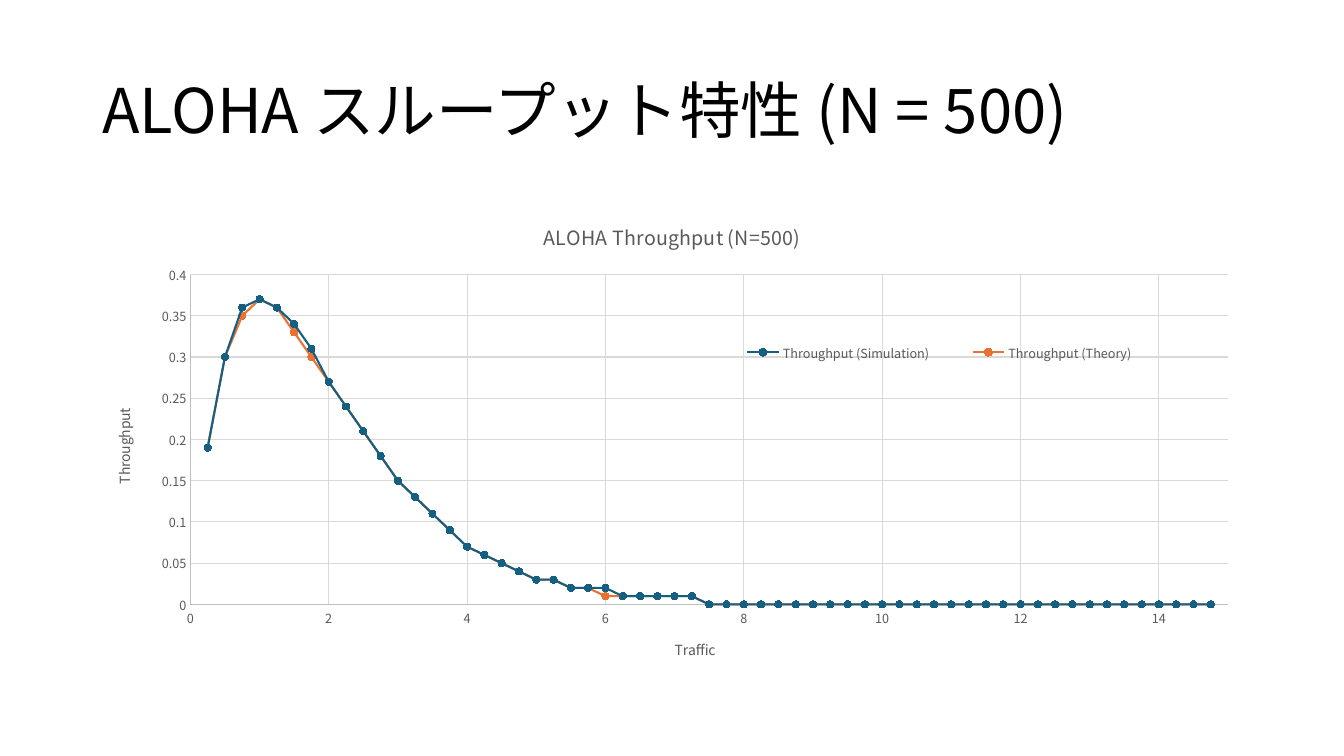
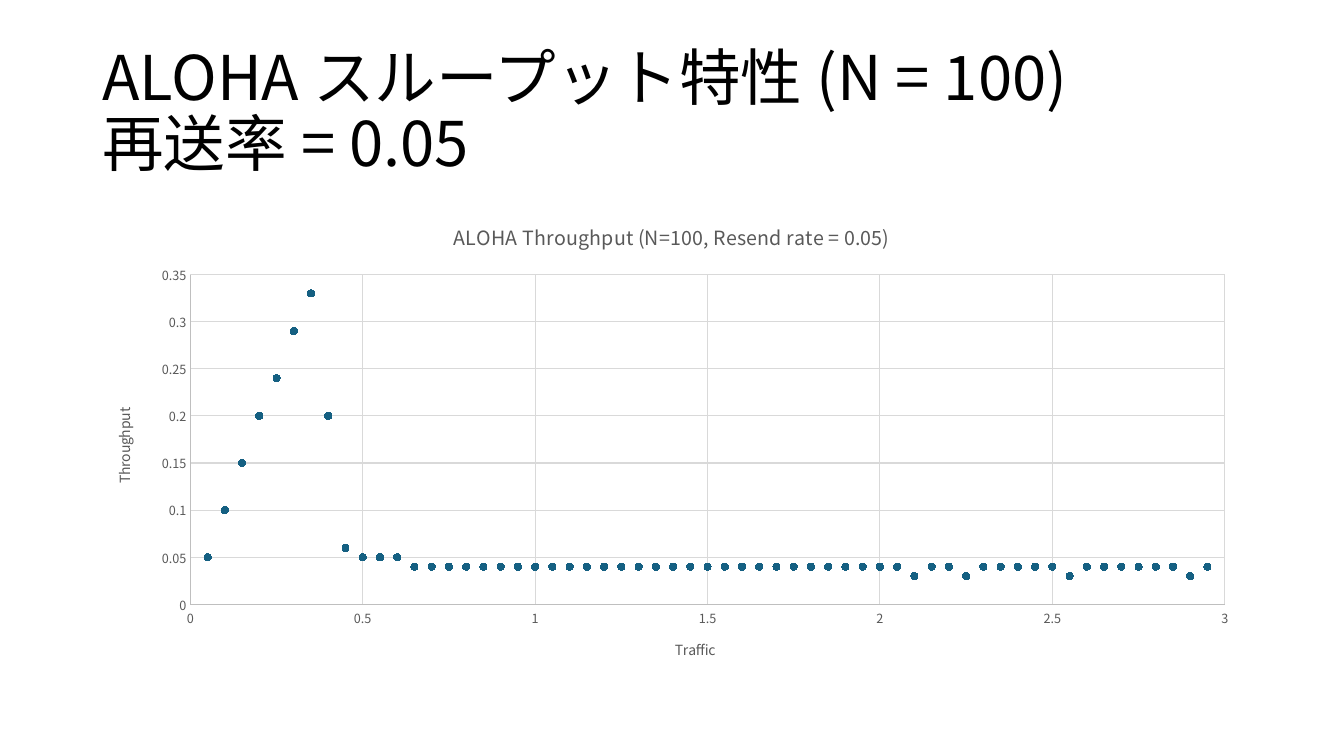
import math
from dataclasses import dataclass

import lxml.etree
import pptx
import pptx.chart.data
import pptx.dml.color
import pptx.enum.chart
import pptx.enum.text
import pptx.oxml.ns
import pptx.util

Pt = pptx.util.Pt
RGB = pptx.dml.color.RGBColor.from_string
qn = pptx.oxml.ns.qn
ChartType = pptx.enum.chart.XL_CHART_TYPE


@dataclass(frozen=True)
class Theme:
    font: str = "Noto Sans CJK JP"
    title_color: str = "000000"
    label_color: str = "595959"
    axis_color: str = "BFBFBF"
    grid_color: str = "D9D9D9"
    series_colors: tuple = ("156082", "E97132")
    title_size: float = 44
    chart_title_size: float = 14
    axis_title_size: float = 10
    label_size: float = 9
    marker_size: int = 5
    thin_line: float = 0.75
    series_line: float = 1.5


THEME = Theme()
SLIDE_SIZE = (960, 540)
TITLE_BOX = (66, 28.75, 828, 104.4)
CHART_BOX = (66, 143.75, 828, 342.6)
# Points from the chart's corner: left, top, width, height
LEGEND_BOX = (439.6, 94.2, 330.6, 27.4)

POINT_COUNT = 59
SIMULATED_500 = [
    0.19, 0.3, 0.36, 0.37, 0.36, 0.34, 0.31, 0.27, 0.24, 0.21,
    0.18, 0.15, 0.13, 0.11, 0.09, 0.07, 0.06, 0.05, 0.04, 0.03,
    0.03, 0.02, 0.02, 0.02,
] + [0.01] * 5 + [0] * 30
SIMULATED_100 = [
    0.05, 0.1, 0.15, 0.2, 0.24, 0.29, 0.33, 0.2, 0.06, 0.05, 0.05, 0.05,
] + [0.04] * 29 + [
    0.03, 0.04, 0.04, 0.03, 0.04, 0.04, 0.04, 0.04, 0.04,
    0.03, 0.04, 0.04, 0.04, 0.04, 0.04, 0.04, 0.03, 0.04,
]


def traffic_steps(step):
    return [round(step * number, 2) for number in range(1, POINT_COUNT + 1)]


def theoretical_throughput(traffic):
    return [round(load * math.exp(-load), 2) for load in traffic]


def apply_format(target, values):
    for name, value in values.items():
        setattr(target, name, value)


def style_font(font, size, color):
    apply_format(font, {"name": THEME.font, "size": Pt(size), "bold": False})
    font.color.rgb = RGB(color)


def style_line(line, width, color):
    line.width = Pt(width)
    line.color.rgb = RGB(color)


def set_manual_layout(parent, chart_box, part_box, previous=None, inner=False):
    """Give a plot area or legend a fixed place inside its chart."""
    for old_layout in parent.findall(qn("c:layout")):
        parent.remove(old_layout)
    layout = lxml.etree.Element(qn("c:layout"))
    manual = lxml.etree.SubElement(layout, qn("c:manualLayout"))
    settings = [("layoutTarget", "inner")] if inner else []
    settings += [("xMode", "edge"), ("yMode", "edge")]
    chart_sizes = chart_box[2:] * 2
    settings += [(name, str(length / size))
                 for name, length, size in zip("xywh", part_box, chart_sizes)]
    for name, value in settings:
        lxml.etree.SubElement(manual, qn(f"c:{name}")).set("val", value)
    if previous is None:
        parent.insert(0, layout)
    else:
        previous.addnext(layout)


def add_title(slide, box, lines):
    frame = slide.shapes.add_textbox(*map(Pt, box)).text_frame
    apply_format(frame, {
        "word_wrap": True,
        "vertical_anchor": pptx.enum.text.MSO_ANCHOR.MIDDLE,
    })
    paragraph = frame.paragraphs[0]
    paragraph.line_spacing = 0.9
    for index, line in enumerate(lines):
        if index:
            paragraph.add_line_break()
        run = paragraph.add_run()
        run.text = line
        style_font(run.font, THEME.title_size, THEME.title_color)
        east_asian = lxml.etree.SubElement(run.font._element, qn("a:ea"))
        east_asian.set("typeface", THEME.font)


def set_chart_text(title, text, size):
    title.text_frame.text = text
    run = title.text_frame.paragraphs[0].runs[0]
    style_font(run.font, size, THEME.label_color)


def style_axis(axis, title, maximum, unit):
    no_mark = pptx.enum.chart.XL_TICK_MARK.NONE
    apply_format(axis, {
        "minimum_scale": 0,
        "maximum_scale": maximum,
        "major_unit": unit,
        "major_tick_mark": no_mark,
        "minor_tick_mark": no_mark,
        "has_major_gridlines": True,
        "has_title": True,
    })
    set_chart_text(axis.axis_title, title, THEME.axis_title_size)
    style_font(axis.tick_labels.font, THEME.label_size, THEME.label_color)
    style_line(axis.format.line, THEME.thin_line, THEME.axis_color)
    style_line(axis.major_gridlines.format.line, THEME.thin_line, THEME.grid_color)


def style_series(series, color, has_line):
    series.smooth = False
    if has_line:
        style_line(series.format.line, THEME.series_line, color)
    else:
        series.format.line.fill.background()
    marker = series.marker
    apply_format(marker, {
        "style": pptx.enum.chart.XL_MARKER_STYLE.CIRCLE,
        "size": THEME.marker_size,
    })
    marker.format.fill.solid()
    marker.format.fill.fore_color.rgb = RGB(color)
    style_line(marker.format.line, THEME.thin_line, color)


def add_legend(chart, chart_box):
    chart.has_legend = True
    legend = chart.legend
    apply_format(legend, {
        "position": pptx.enum.chart.XL_LEGEND_POSITION.RIGHT,
        "include_in_layout": True,
    })
    style_font(legend.font, THEME.label_size, THEME.label_color)
    element = legend._element
    set_manual_layout(element, chart_box, LEGEND_BOX,
                      previous=element.find(qn("c:legendPos")))


def add_throughput_chart(slide, box, title, traffic, columns, traffic_axis,
                         throughput_axis, plot_width, has_line):
    """Add a scatter chart; each axis is given as (maximum, major unit)."""
    data = pptx.chart.data.XyChartData()
    for name, values in columns.items():
        series = data.add_series(name)
        for point in zip(traffic, values):
            series.add_data_point(*point)
    chart_type = ChartType.XY_SCATTER_LINES if has_line else ChartType.XY_SCATTER
    chart = slide.shapes.add_chart(chart_type, *map(Pt, box), data).chart
    style_font(chart.font, THEME.axis_title_size, THEME.title_color)
    chart.has_title = True
    set_chart_text(chart.chart_title, title, THEME.chart_title_size)
    style_axis(chart.category_axis, "Traffic", *traffic_axis)
    style_axis(chart.value_axis, "Throughput", *throughput_axis)
    body = chart.value_axis.axis_title.text_frame._txBody.find(qn("a:bodyPr"))
    body.set("rot", "-5400000")
    body.set("vert", "horz")

    plot = chart.plots[0]
    plot.vary_by_categories = False
    for series, color in zip(plot.series, THEME.series_colors):
        style_series(series, color, has_line)
    plot_area = chart._chartSpace.find(f".//{qn('c:plotArea')}")
    plot_box = (70, 52.4, plot_width, 235.7)
    set_manual_layout(plot_area, box, plot_box, inner=True)
    chart.has_legend = False
    if len(columns) > 1:
        add_legend(chart, box)


def add_result_slide(presentation, title_lines, **chart_values):
    slide = presentation.slides.add_slide(presentation.slide_layouts[6])
    add_title(slide, TITLE_BOX, title_lines)
    add_throughput_chart(slide, CHART_BOX, **chart_values)


def main():
    presentation = pptx.Presentation()
    width, height = map(Pt, SLIDE_SIZE)
    apply_format(presentation, {"slide_width": width, "slide_height": height})

    traffic = traffic_steps(0.25)
    add_result_slide(
        presentation,
        ["ALOHA スループット特性 (N = 500)"],
        title="ALOHA Throughput (N=500)",
        traffic=traffic,
        columns={
            "Throughput (Simulation)": SIMULATED_500,
            "Throughput (Theory)": theoretical_throughput(traffic),
        },
        traffic_axis=(15, 2),
        throughput_axis=(0.4, 0.05),
        plot_width=741.3,
        has_line=True,
    )
    add_result_slide(
        presentation,
        ["ALOHA スループット特性 (N = 100)", "再送率 = 0.05"],
        title="ALOHA Throughput (N=100, Resend rate = 0.05)",
        traffic=traffic_steps(0.05),
        columns={"Series 1": SIMULATED_100},
        traffic_axis=(3, 0.5),
        throughput_axis=(0.35, 0.05),
        plot_width=738.9,
        has_line=False,
    )
    presentation.save("out.pptx")


if __name__ == "__main__":
    main()
